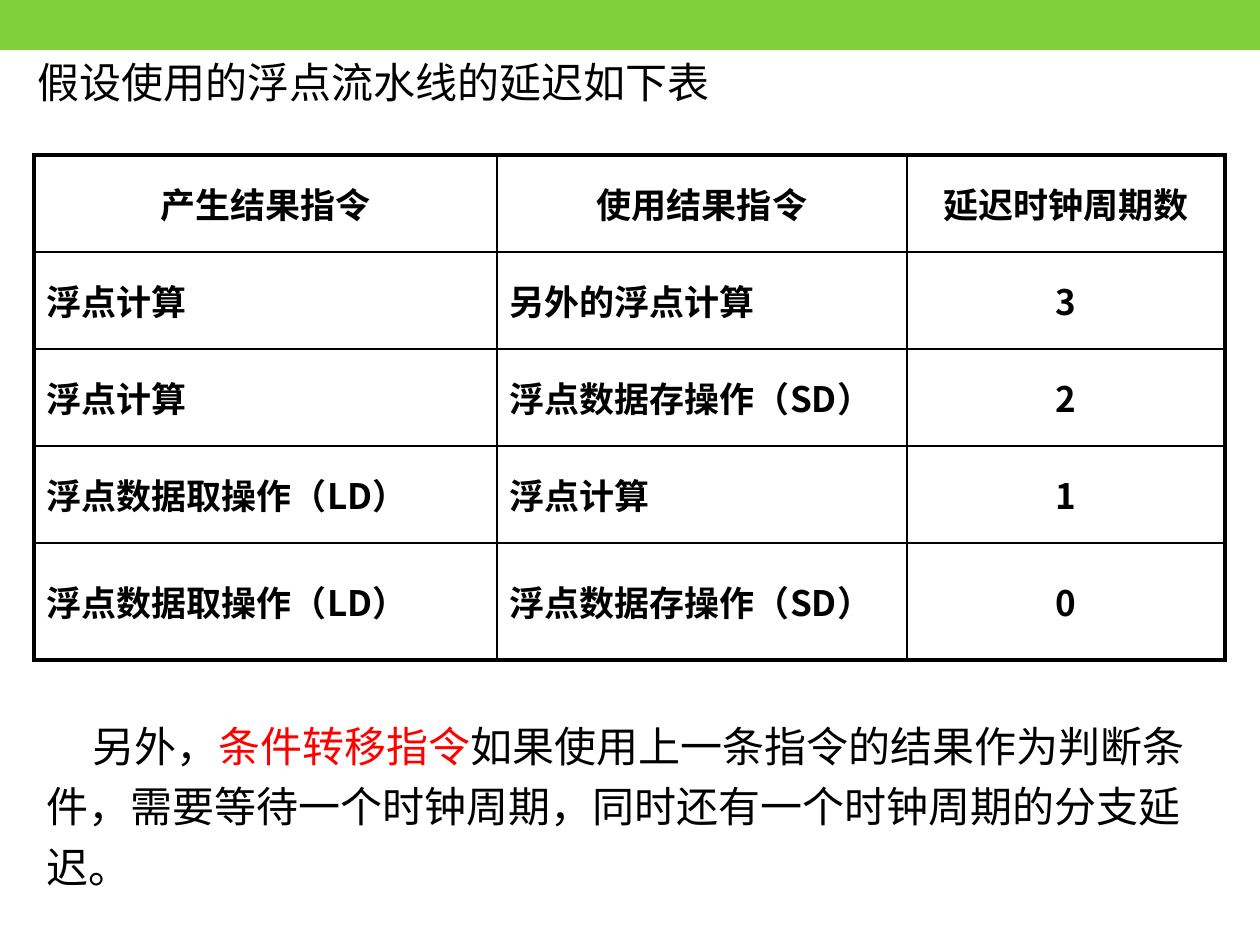
from lxml import etree
from pptx import Presentation
from pptx.dml.color import RGBColor
from pptx.enum.shapes import MSO_SHAPE
from pptx.enum.text import MSO_ANCHOR, PP_ALIGN
from pptx.oxml.ns import qn
from pptx.util import Emu, Pt

CENTER, LEFT = PP_ALIGN.CENTER, PP_ALIGN.LEFT
MIDDLE = MSO_ANCHOR.MIDDLE
RECTANGLE = MSO_SHAPE.RECTANGLE

BLACK = RGBColor(0x00, 0x00, 0x00)
WHITE = RGBColor(0xFF, 0xFF, 0xFF)
RED = RGBColor(0xFF, 0x00, 0x00)
GREEN = RGBColor(0x7F, 0xD1, 0x3B)
CJK_FONT, LATIN_FONT = "Noto Sans CJK SC", "Arial"

TITLE = "假设使用的浮点流水线的延迟如下表"
DELAYS = [
    ("产生结果指令", "使用结果指令", "延迟时钟周期数"),
    ("浮点计算", "另外的浮点计算", "3"),
    ("浮点计算", "浮点数据存操作（SD）", "2"),
    ("浮点数据取操作（LD）", "浮点计算", "1"),
    ("浮点数据取操作（LD）", "浮点数据存操作（SD）", "0"),
]
NOTE = [
    ("另外，", BLACK),
    ("条件转移指令", RED),
    ("如果使用上一条指令的结果作为判断条件，需要等待一个时钟周期，"
     "同时还有一个时钟周期的分支延迟。", BLACK),
]

COLUMN_WIDTHS = [463, 410, 318]
ROW_HEIGHTS = [97, 97, 97, 97, 117]
THIN, THICK = Pt(1), Pt(2.25)


def px(n):
    return Emu(n * 914400 // 126)


def style(run, size, color, font, bold=False):
    run.font.size = Pt(size)
    run.font.bold = bold
    run.font.color.rgb = color
    run.font.name = font
    if font == CJK_FONT:
        etree.SubElement(run._r.get_or_add_rPr(), qn("a:ea"), typeface=font)


def add_text(slide, left, top, width, height):
    frame = slide.shapes.add_textbox(px(left), px(top), px(width), px(height)).text_frame
    frame.word_wrap = True
    return frame.paragraphs[0]


def set_borders(cell, widths):
    """Draw black borders; widths maps a side (L, R, T, B) to its line width."""
    properties = cell._tc.get_or_add_tcPr()
    for position, (side, width) in enumerate(widths.items()):
        line = etree.Element(qn(f"a:ln{side}"), w=str(width))
        fill = etree.SubElement(line, qn("a:solidFill"))
        etree.SubElement(fill, qn("a:srgbClr"), val=str(BLACK))
        properties.insert(position, line)


def add_delay_table(slide, left, top):
    rows, columns = len(DELAYS), len(COLUMN_WIDTHS)
    table = slide.shapes.add_table(rows, columns, px(left), px(top),
                                   px(sum(COLUMN_WIDTHS)), px(sum(ROW_HEIGHTS))).table
    for column, width in zip(table.columns, COLUMN_WIDTHS):
        column.width = px(width)
    for row, height in zip(table.rows, ROW_HEIGHTS):
        row.height = px(height)
    for r, texts in enumerate(DELAYS):
        for c, text in enumerate(texts):
            cell = table.cell(r, c)
            cell.fill.solid()
            cell.fill.fore_color.rgb = WHITE
            cell.vertical_anchor = MIDDLE
            set_borders(cell, {
                "L": THICK if c == 0 else THIN,
                "R": THICK if c == columns - 1 else THIN,
                "T": THICK if r == 0 else THIN,
                "B": THICK if r == rows - 1 else THIN,
            })
            paragraph = cell.text_frame.paragraphs[0]
            paragraph.text = text
            paragraph.alignment = CENTER if r == 0 or c == columns - 1 else LEFT
            paragraph.space_before = Pt(4)
            style(paragraph.runs[0], 20, BLACK, CJK_FONT, bold=True)


def main():
    prs = Presentation()
    prs.slide_width, prs.slide_height = px(1260), px(945)
    slide = prs.slides.add_slide(prs.slide_layouts[6])

    band = slide.shapes.add_shape(RECTANGLE, 0, 0, px(1260), px(50))
    band.shadow.inherit = False
    band.fill.solid()
    band.fill.fore_color.rgb = GREEN
    band.line.fill.background()

    add_delay_table(slide, 34, 155)

    title = add_text(slide, 25, 50, 708, 94)
    title.text = TITLE
    style(title.runs[0], 24, BLACK, CJK_FONT)

    note = add_text(slide, 34, 704, 1191, 190)
    note.line_spacing = 1.2
    note.space_before = Pt(12)
    note._p.get_or_add_pPr().set("indent", str(px(46)))
    for text, color in NOTE:
        run = note.add_run()
        run.text = text
        style(run, 24, color, LATIN_FONT)

    prs.save("out.pptx")


if __name__ == "__main__":
    main()
